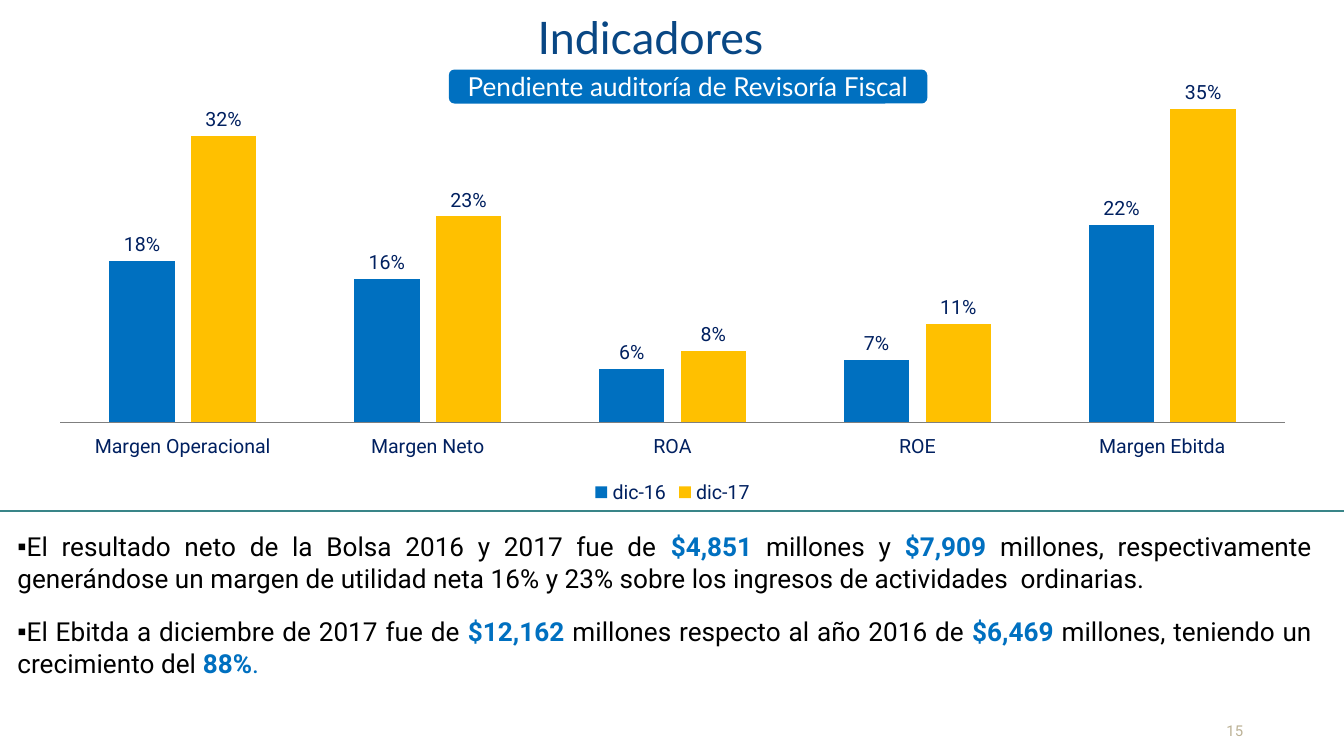
from lxml import etree
from pptx import Presentation
from pptx.chart.data import CategoryChartData
from pptx.dml.color import RGBColor
from pptx.enum.chart import (XL_CHART_TYPE, XL_LABEL_POSITION, XL_LEGEND_POSITION,
                             XL_TICK_LABEL_POSITION, XL_TICK_MARK)
from pptx.enum.shapes import MSO_CONNECTOR, MSO_SHAPE
from pptx.enum.text import MSO_ANCHOR, PP_ALIGN
from pptx.oxml import parse_xml
from pptx.oxml.ns import nsdecls, qn
from pptx.util import Inches, Pt

COLUMNS = XL_CHART_TYPE.COLUMN_CLUSTERED
ABOVE_BAR = XL_LABEL_POSITION.OUTSIDE_END
LEGEND_BELOW = XL_LEGEND_POSITION.BOTTOM
LABELS_LOW = XL_TICK_LABEL_POSITION.LOW
NO_TICKS = XL_TICK_MARK.NONE
STRAIGHT = MSO_CONNECTOR.STRAIGHT
ROUNDED = MSO_SHAPE.ROUNDED_RECTANGLE
TOP, MIDDLE, BOTTOM = MSO_ANCHOR.TOP, MSO_ANCHOR.MIDDLE, MSO_ANCHOR.BOTTOM
CENTER, RIGHT, JUSTIFY = PP_ALIGN.CENTER, PP_ALIGN.RIGHT, PP_ALIGN.JUSTIFY

WIDTH = 10
HEIGHT = WIDTH * 9 / 16
COLORS = {"title": "094784", "blue": "0070C0", "amber": "FFC000", "navy": "002060",
          "text": "000000", "rule": "398588", "axis": "7F7F7F", "number": "BCB296",
          "white": "FFFFFF"}

CATEGORIES = ["Margen Operacional", "Margen Neto", "ROA", "ROE", "Margen Ebitda"]
SERIES = [("dic-16", [0.18, 0.16, 0.06, 0.07, 0.22], "blue"),
          ("dic-17", [0.32, 0.23, 0.08, 0.11, 0.35], "amber")]

# Each run: text, colour, bold
FINDINGS = [
    [("El resultado neto de la Bolsa 2016 y 2017 fue de ", "text", False),
     ("$4,851 ", "blue", True), ("millones y ", "text", False), ("$7,909 ", "blue", True),
     ("millones, respectivamente generándose un margen de utilidad neta 16% y 23% "
      "sobre los ingresos de actividades  ordinarias.", "text", False)],
    [("El Ebitda a diciembre de 2017 fue de ", "text", False), ("$12,162 ", "blue", True),
     ("millones respecto al año 2016 de ", "text", False), ("$6,469 ", "blue", True),
     ("millones, teniendo un crecimiento del ", "text", False), ("88%", "blue", True),
     (".", "blue", False)],
]


def color(name):
    return RGBColor.from_string(COLORS[name])


def place(left, top, width, height):
    """Turn percentages of the slide into a box in slide units."""
    return (Inches(left * WIDTH / 100), Inches(top * HEIGHT / 100),
            Inches(width * WIDTH / 100), Inches(height * HEIGHT / 100))


def set_font(font, name, size, color_name):
    font.name, font.size = name, Pt(size)
    font.color.rgb = color(color_name)


def prepare_frame(shape, anchor, wrap=True):
    frame = shape.text_frame
    frame.word_wrap, frame.vertical_anchor = wrap, anchor
    frame.margin_left = frame.margin_right = frame.margin_top = frame.margin_bottom = 0
    return frame


def write_line(shape, text, font, size, color_name, align, anchor, wrap=True):
    paragraph = prepare_frame(shape, anchor, wrap).paragraphs[0]
    paragraph.text, paragraph.alignment = text, align
    set_font(paragraph.font, font, size, color_name)
    return paragraph


def add_title(slide, box):
    shape = slide.shapes.add_textbox(*box)
    paragraph = write_line(shape, "Indicadores", "Lato", 24, "title", CENTER, MIDDLE)
    paragraph.line_spacing = 0.85


def add_banner(slide, box):
    shape = slide.shapes.add_shape(ROUNDED, *box)
    shape.shadow.inherit = False
    shape.fill.solid()
    shape.fill.fore_color.rgb = color("blue")
    shape.line.fill.background()
    write_line(shape, "Pendiente auditoría de Revisoría Fiscal", "Lato", 14, "white",
               CENTER, MIDDLE, wrap=False)


def add_page_number(slide, box):
    write_line(slide.shapes.add_textbox(*box), "15", "Roboto", 8, "number", RIGHT, BOTTOM)


def add_rule(slide, box):
    left, top, width, height = box
    line = slide.shapes.add_connector(STRAIGHT, left, top, left + width, top + height)
    line.line.color.rgb = color("rule")
    line.line.width = Pt(0.75)
    etree.SubElement(line._element.spPr, qn("a:effectLst"))


def add_findings(slide, box):
    frame = prepare_frame(slide.shapes.add_textbox(*box), TOP)
    for index, runs in enumerate(FINDINGS):
        paragraph = frame.add_paragraph() if index else frame.paragraphs[0]
        properties = paragraph._p.get_or_add_pPr()
        properties.set("marL", "0")
        properties.set("indent", "0")
        etree.SubElement(properties, qn("a:buFont"), typeface="Arial")
        etree.SubElement(properties, qn("a:buChar"), char="▪")
        paragraph.alignment = JUSTIFY
        paragraph.space_before = Pt(6 if index else 0)
        paragraph.space_after = Pt(6)
        paragraph.font.name, paragraph.font.size = "Roboto", Pt(14)
        for text, color_name, bold in runs:
            run = paragraph.add_run()
            run.text, run.font.bold = text, bold
            run.font.color.rgb = color(color_name)


def add_indicator_chart(slide, box):
    data = CategoryChartData(number_format="0%")
    data.categories = CATEGORIES
    for name, values, _ in SERIES:
        data.add_series(name, values)
    chart = slide.shapes.add_chart(COLUMNS, *box, data).chart
    chart.has_title = False
    set_font(chart.font, "Roboto", 10.5, "navy")
    chart.has_legend = True
    chart.legend.position = LEGEND_BELOW
    chart.legend.include_in_layout = False

    # Axes
    values_axis, category_axis = chart.value_axis, chart.category_axis
    values_axis.minimum_scale, values_axis.maximum_scale = 0, 0.4
    values_axis.has_major_gridlines = False
    values_axis.visible = False
    category_axis.tick_label_position = LABELS_LOW
    category_axis.major_tick_mark = category_axis.minor_tick_mark = NO_TICKS
    category_axis.format.line.color.rgb = color("axis")
    category_axis.format.line.width = Pt(1)

    # Columns and their labels
    plot = chart.plots[0]
    plot.gap_width, plot.overlap, plot.vary_by_categories = 150, -25, False
    for series, (_, _, color_name) in zip(plot.series, SERIES):
        series.format.fill.solid()
        series.format.fill.fore_color.rgb = color(color_name)
        labels = series.data_labels
        labels.show_value, labels.position = True, ABOVE_BAR
        labels.number_format, labels.number_format_is_linked = "0%", False

    # Plot area as shares of the chart
    shares = {"x": 0.02, "y": 0.02, "w": 0.96, "h": 0.79}
    modes = "".join(f'<c:{axis}Mode val="edge"/>' for axis in "xy")
    sizes = "".join(f'<c:{key} val="{share}"/>' for key, share in shares.items())
    area = chart._chartSpace.chart.plotArea
    for old_layout in area.findall(qn("c:layout")):
        area.remove(old_layout)
    area.insert(0, parse_xml(
        f'<c:layout {nsdecls("c")}><c:manualLayout><c:layoutTarget val="inner"/>'
        f'{modes}{sizes}</c:manualLayout></c:layout>'))


def build_indicator_slide(presentation):
    slide = presentation.slides.add_slide(presentation.slide_layouts[6])
    add_page_number(slide, place(89.3, 95.4, 3.2, 2.4))
    add_title(slide, place(8.7, 0, 79.4, 10.8))
    add_findings(slide, place(1.3, 70.2, 96.3, 24.2))
    add_rule(slide, place(0, 67.6, 100, 0))
    add_banner(slide, place(33.4, 9.2, 35.6, 4.5))
    add_indicator_chart(slide, place(2.6, 7.3, 94.9, 60))


def main():
    presentation = Presentation()
    presentation.slide_width, presentation.slide_height = Inches(WIDTH), Inches(HEIGHT)
    build_indicator_slide(presentation)
    presentation.save("out.pptx")


if __name__ == "__main__":
    main()
